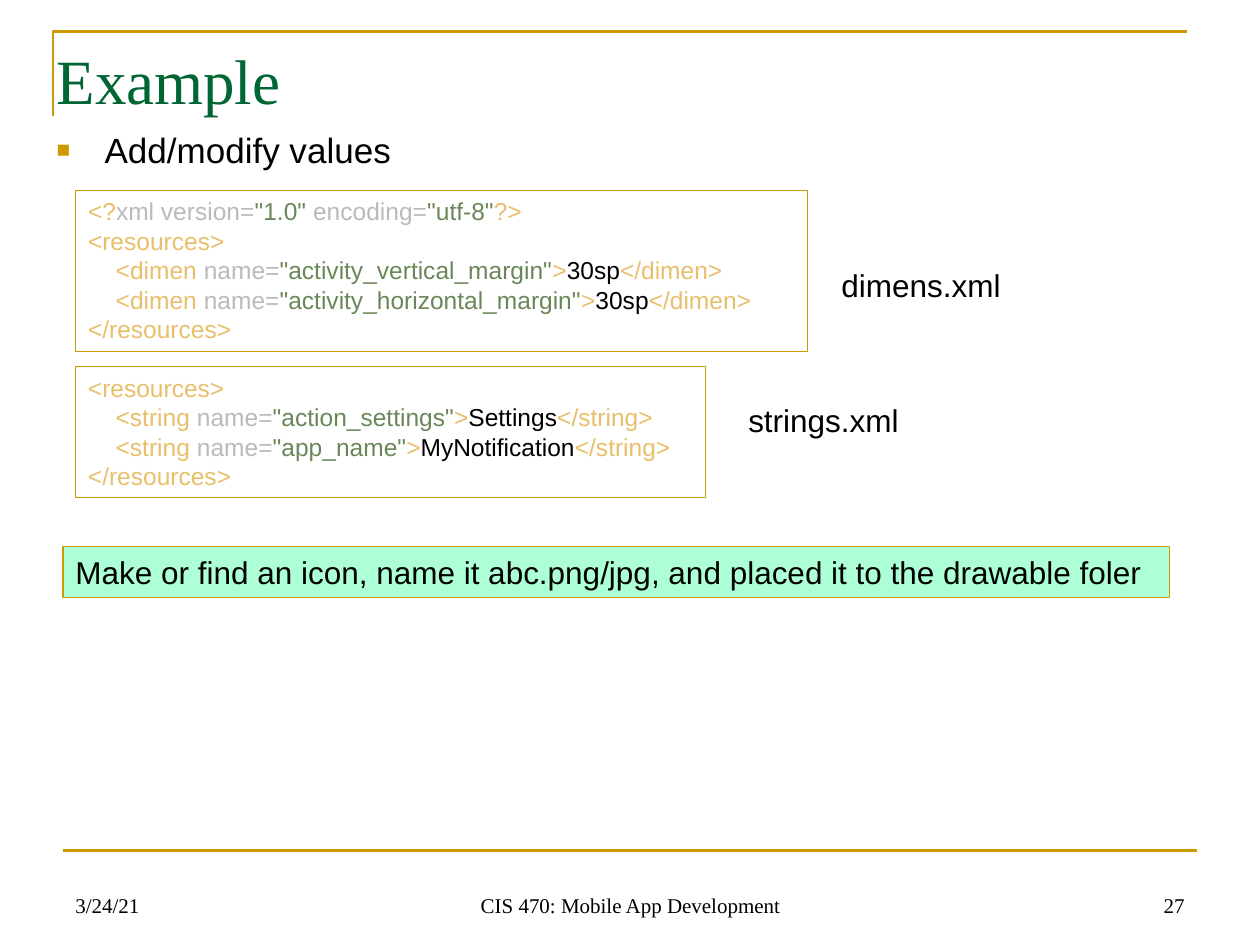
import pptx
import pptx.util
import pptx.dml.color
import pptx.enum.shapes
import pptx.enum.text
import pptx.oxml.ns
import lxml.etree
from dataclasses import dataclass

Inches = pptx.util.Inches
Pt = pptx.util.Pt
Align = pptx.enum.text.PP_ALIGN
Anchor = pptx.enum.text.MSO_ANCHOR
Fit = pptx.enum.text.MSO_AUTO_SIZE


@dataclass(frozen=True)
class Theme:
    sans: str = "Arial"
    serif: str = "Times New Roman"
    gold: str = "CC9900"
    green: str = "006633"
    mint: str = "ADFFD6"
    ink: str = "000000"
    tag: str = "E8BF6A"
    key: str = "BABABA"
    text: str = "6A8759"
    title: int = 36
    body: int = 20
    note: int = 18
    code: int = 14
    foot: int = 12
    rule: float = 1.5
    edge: float = 0.75


theme = Theme()


def paint(color):
    return pptx.dml.color.RGBColor.from_string(color)


def style(par, size, face=theme.sans, color=theme.ink, align=Align.LEFT):
    par.alignment = align
    par.font.size = Pt(size)
    par.font.name = face
    par.font.color.rgb = paint(color)


def stroke(shape, width):
    shape.line.color.rgb = paint(theme.gold)
    shape.line.width = Pt(width)


def place(shape, left, top, width, height):
    shape.left, shape.top = Inches(left), Inches(top)
    shape.width, shape.height = Inches(width), Inches(height)


def frame(slide):
    build = slide.shapes.build_freeform(Inches(0.42), Inches(0.92))
    build.add_line_segments(
        [(Inches(0.42), Inches(0.25)), (Inches(9.42), Inches(0.25))], close=False)
    corner = build.convert_to_shape()
    corner.fill.background()
    corner.shadow.inherit = False
    stroke(corner, theme.rule)

    base = slide.shapes.add_connector(
        pptx.enum.shapes.MSO_CONNECTOR.STRAIGHT,
        Inches(0.5), Inches(6.75), Inches(9.5), Inches(6.75))
    stroke(base, theme.rule)
    lxml.etree.SubElement(
        base._element.spPr, pptx.oxml.ns.qn("a:effectLst"))


def title(slide, words):
    shape = slide.shapes.title
    place(shape, 0.35, 0.3, 5, 0.66)
    shape.text_frame.text = words
    shape.text_frame.auto_size = Fit.NONE
    shape.text_frame.vertical_anchor = Anchor.MIDDLE
    style(shape.text_frame.paragraphs[0], theme.title, theme.serif, theme.green)


def bullet(par):
    props = par._p.get_or_add_pPr()
    props.set("marL", str(Inches(0.38)))
    props.set("indent", str(-Inches(0.38)))

    def add(parent, tag, **attrs):
        return lxml.etree.SubElement(parent, pptx.oxml.ns.qn(tag), attrs)

    add(add(props, "a:buClr"), "a:srgbClr", val=theme.gold)
    add(props, "a:buSzPct", val="65000")
    add(props, "a:buFont", typeface=theme.sans)
    add(props, "a:buChar", char="■")


def body(slide, words):
    shape = slide.placeholders[1]
    place(shape, 0.35, 0.97, 8.17, 0.94)
    shape.text_frame.text = words
    shape.text_frame.auto_size = Fit.NONE
    par = shape.text_frame.paragraphs[0]
    bullet(par)
    par.space_before = Pt(4)
    style(par, theme.body)


def label(slide, words, left, top, width):
    shape = slide.shapes.add_textbox(
        Inches(left), Inches(top), Inches(width), Inches(0.4))
    shape.text_frame.text = words
    shape.text_frame.word_wrap = False
    shape.text_frame.auto_size = Fit.SHAPE_TO_FIT_TEXT
    style(shape.text_frame.paragraphs[0], theme.note)


def footer(slide, words, left, width, align):
    shape = slide.shapes.add_textbox(
        Inches(left), Inches(6.83), Inches(width), Inches(0.5))
    shape.text_frame.text = words
    shape.text_frame.word_wrap = True
    shape.text_frame.vertical_anchor = Anchor.BOTTOM
    style(shape.text_frame.paragraphs[0], theme.foot, theme.serif, align=align)


def box(slide, left, top, width, height, fill=None):
    shape = slide.shapes.add_shape(
        pptx.enum.shapes.MSO_SHAPE.RECTANGLE,
        Inches(left), Inches(top), Inches(width), Inches(height))
    shape.shadow.inherit = False
    if fill:
        shape.fill.solid()
        shape.fill.fore_color.rgb = paint(fill)
    else:
        shape.fill.background()
    stroke(shape, theme.edge)
    shape.text_frame.word_wrap = True
    shape.text_frame.auto_size = Fit.SHAPE_TO_FIT_TEXT
    shape.text_frame.vertical_anchor = Anchor.TOP
    return shape.text_frame


def entry(tag, name, value):
    return 0.22, [(f"<{tag} ", theme.tag), ("name=", theme.key),
                  (f'"{name}"', theme.text), (">", theme.tag),
                  (value, theme.ink), (f"</{tag}>", theme.tag)]


def code(slide, area, lines):
    text = box(slide, *area)
    for at, (indent, parts) in enumerate(lines):
        par = text.add_paragraph() if at else text.paragraphs[0]
        par._p.get_or_add_pPr().set("marL", str(Inches(indent)))
        style(par, theme.code, color=theme.tag)
        for words, color in parts:
            run = par.add_run()
            run.text = words
            run.font.color.rgb = paint(color)


def main():
    deck = pptx.Presentation()
    deck.slide_width, deck.slide_height = Inches(10), Inches(7.5)
    slide = deck.slides.add_slide(deck.slide_layouts[1])

    frame(slide)
    footer(slide, "3/24/21", 0.5, 2.33, Align.LEFT)
    footer(slide, "CIS 470: Mobile App Development", 3.42, 3.17, Align.CENTER)
    footer(slide, "27", 7.17, 2.33, Align.RIGHT)
    title(slide, "Example")
    body(slide, "Add/modify values")

    head = (0, [("<?", theme.tag), ("xml version=", theme.key),
                ('"1.0" ', theme.text), ("encoding=", theme.key),
                ('"utf-8"', theme.text), ("?>", theme.tag)])
    start = (0, [("<resources>", theme.tag)])
    end = (0, [("</resources>", theme.tag)])
    code(slide, (0.6, 1.51, 5.81, 1.28), [
        head, start,
        entry("dimen", "activity_vertical_margin", "30sp"),
        entry("dimen", "activity_horizontal_margin", "30sp"),
        end])
    label(slide, "dimens.xml", 6.58, 2.06, 1.48)
    code(slide, (0.6, 2.91, 5, 1.04), [
        start,
        entry("string", "action_settings", "Settings"),
        entry("string", "app_name", "MyNotification"),
        end])
    label(slide, "strings.xml", 5.84, 3.13, 1.41)

    task = box(slide, 0.5, 4.34, 8.78, 0.4, theme.mint)
    task.text = ("Make or find an icon, name it abc.png/jpg, "
                 "and placed it to the drawable foler")
    style(task.paragraphs[0], theme.note)

    deck.save("out.pptx")


if __name__ == "__main__":
    main()
